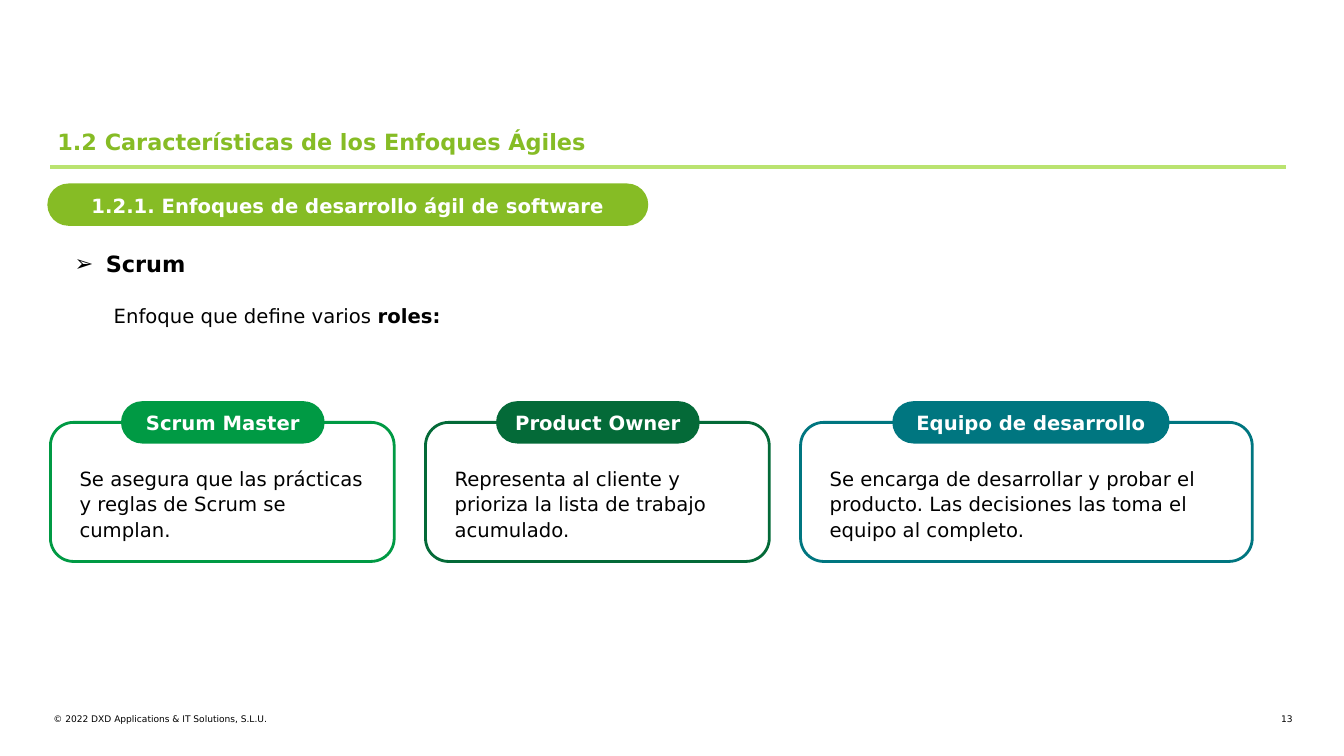
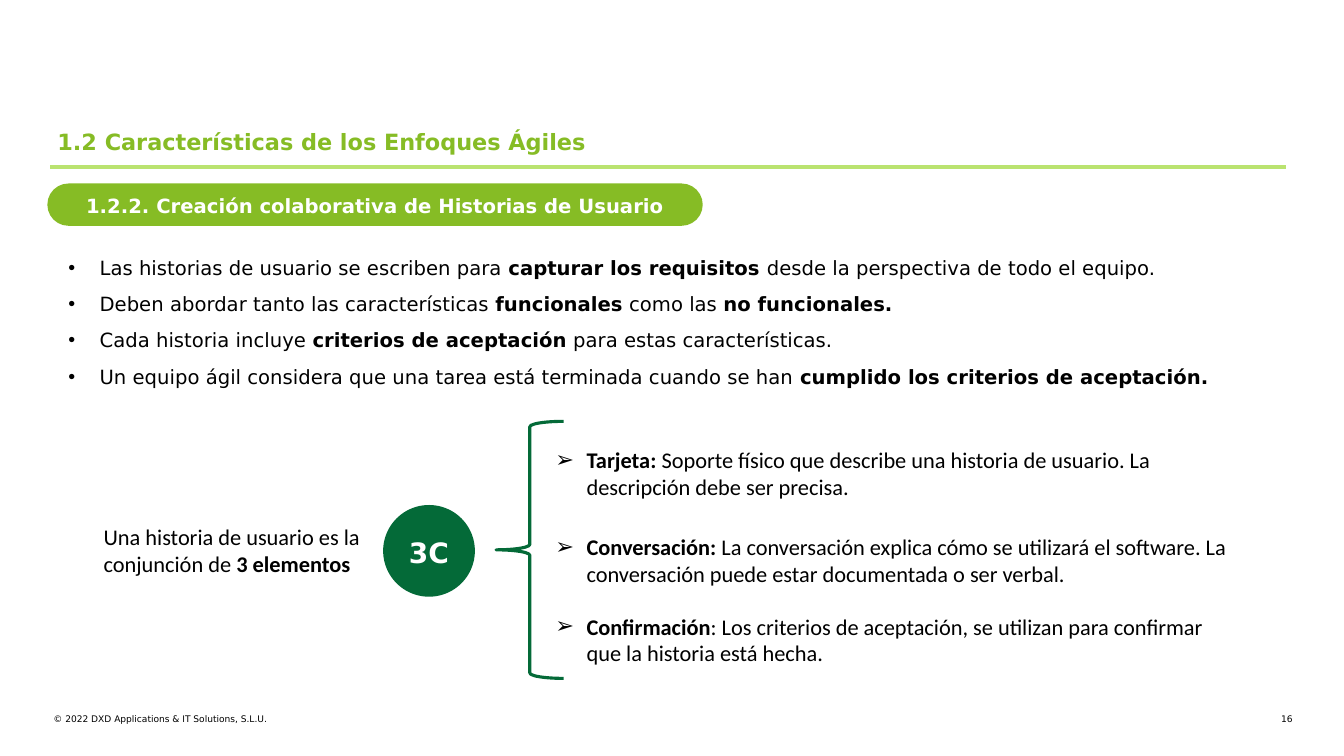
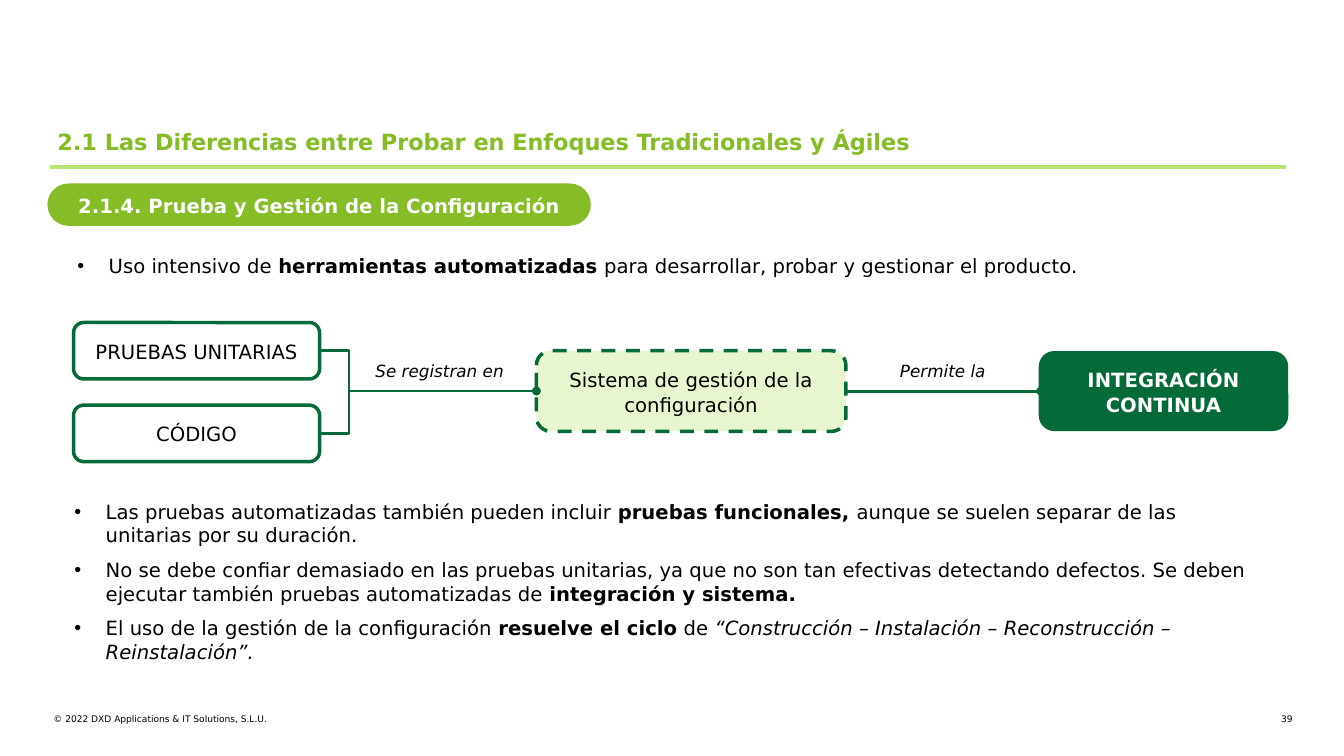
from dataclasses import dataclass

from lxml import etree
from pptx import Presentation
from pptx import util as u
from pptx.dml.color import RGBColor
from pptx.enum import dml, shapes, text
from pptx.oxml import ns

PX = 9144  # 100 px to the inch
KIND = shapes.MSO_SHAPE
LINK = shapes.MSO_CONNECTOR
ALIGN = text.PP_ALIGN


@dataclass(frozen=True)
class Theme:
    lime: str = "86BC25"
    rule: str = "BAE370"
    pale: str = "E8F6CF"
    green: str = "009A44"
    dark: str = "046A38"
    teal: str = "007680"
    black: str = "000000"
    white: str = "FFFFFF"
    main: str = "DejaVu Sans"
    alt: str = "Calibri"
    tiny: float = 6.5
    note: int = 12
    body: int = 14
    head: int = 16
    big: int = 20


T = Theme()


def draw(page, kind, at, fill=None, line=None, width=2):
    """Add a preset shape, or a text box when kind is None; at is in px."""
    at = [n * PX for n in at]
    if kind is None:
        return page.shapes.add_textbox(*at)
    item = page.shapes.add_shape(kind, *at)
    item.shadow.inherit = False
    if fill:
        item.fill.solid()
        item.fill.fore_color.rgb = RGBColor.from_string(fill)
    else:
        item.fill.background()
    if line:
        item.line.color.rgb = RGBColor.from_string(line)
        item.line.width = u.Pt(width)
    else:
        item.line.fill.background()
    return item


def write(item, lines, size=T.body, color=T.black, font=T.main, bold=None, italic=None,
          align=ALIGN.LEFT, mark=None, indent=31, space=None, after=0, inset=None):
    """Fill a shape with paragraphs; *stars* make bold and _bars_ italic."""
    frame = item.text_frame
    frame.word_wrap = True
    if inset is not None:
        frame.margin_left = frame.margin_right = inset * PX
        frame.margin_top = frame.margin_bottom = inset * PX
    for n, line in enumerate(lines):
        para = frame.add_paragraph() if n else frame.paragraphs[0]
        if mark:
            props = para._p.get_or_add_pPr()
            props.set("marL", str(indent * PX))
            props.set("indent", str(-31 * PX))
            etree.SubElement(props, ns.qn("a:buFont"), typeface="Arial")
            etree.SubElement(props, ns.qn("a:buChar"), char=mark)
        para.alignment = align
        para.space_after = u.Pt(after)
        if space:
            para.line_spacing = space
        para.font.size = u.Pt(size)
        para.font.name = font
        para.font.bold = bold
        para.font.italic = italic
        para.font.color.rgb = RGBColor.from_string(color)
        for i, part in enumerate(line.split("*")):
            for j, bit in enumerate(part.split("_")):
                if bit:
                    run = para.add_run()
                    run.text = bit
                    if i % 2:
                        run.font.bold = True
                    if j % 2:
                        run.font.italic = True


deck = Presentation()
deck.slide_width = 1333 * PX
deck.slide_height = 750 * PX
label = dict(color=T.white, bold=True, align=ALIGN.CENTER, space=1.06, inset=10)

# Title, rule, section pill and footer of every slide
agile = "1.2 Características de los Enfoques Ágiles"
plan = [
    (agile, 576, "1.2.1. Enfoques de desarrollo ágil de software", 596, "13"),
    (agile, 576, "1.2.2. Creación colaborativa de Historias de Usuario", 650, "16"),
    ("2.1 Las Diferencias entre Probar en Enfoques Tradicionales y Ágiles", 903,
     "2.1.4. Prueba y Gestión de la Configuración", 539, "39"),
]
pages = []
for name, wide, topic, span, number in plan:
    page = deck.slides.add_slide(deck.slide_layouts[5])
    pages.append(page)
    title = page.shapes.title
    title.left, title.top, title.width, title.height = [n * PX for n in (47, 122, wide - 30, 37)]
    write(title, [name], T.head, T.lime, bold=True)
    title.text_frame.word_wrap = False
    title.text_frame.auto_size = text.MSO_AUTO_SIZE.NONE
    title.text_frame.vertical_anchor = text.MSO_ANCHOR.TOP

    rule = page.shapes.add_connector(LINK.STRAIGHT, 50 * PX, 166 * PX, 1275 * PX, 166 * PX)
    rule.line.color.rgb = RGBColor.from_string(T.rule)
    rule.line.width = u.Pt(3)
    etree.SubElement(rule._element.spPr, ns.qn("a:effectLst"))

    pill = draw(page, KIND.ROUNDED_RECTANGLE, (47, 182, span, 42), T.lime)
    pill.adjustments[0] = 0.5
    write(pill, [topic], **label)
    write(draw(page, None, (53, 708, 586, 11)),
          ["© 2022 DXD Applications & IT Solutions, S.L.U."], T.tiny, inset=0)
    write(draw(page, None, (1248, 708, 34, 11)), [number], T.tiny, align=ALIGN.RIGHT, inset=0)

roles, story, config = pages

# Scrum roles
write(draw(roles, None, (44, 248, 443, 27)), ["Scrum"], T.head, bold=True,
      mark="➢", indent=61, inset=0)
write(draw(roles, None, (103, 295, 596, 33)), ["Enfoque que define varios *roles:*"], space=1.07)

cards = [
    ("Scrum Master", T.green, 341, 70, 202,
     "Se asegura que las prácticas y reglas de Scrum se cumplan."),
    ("Product Owner", T.dark, 341, 70, 202,
     "Representa al cliente y prioriza la lista de trabajo acumulado."),
    ("Equipo de desarrollo", T.teal, 448, 91, 275,
     "Se encarga de desarrollar y probar el producto. "
     "Las decisiones las toma el equipo al completo."),
]
left = 50
for name, color, wide, shift, span, duty in cards:
    draw(roles, KIND.ROUNDED_RECTANGLE, (left, 419, wide, 138), T.white, color)
    tab = draw(roles, KIND.ROUNDED_RECTANGLE, (left + shift, 398, span, 42), color)
    tab.adjustments[0] = 0.5
    write(tab, [name], **label)
    write(draw(roles, None, (left + 19, 457, wide - 32, 84)), [duty], space=1.07)
    left += wide + 31

# User stories
write(draw(story, None, (58, 247, 1203, 142)), [
    "Las historias de usuario se escriben para *capturar los requisitos *"
    "desde la perspectiva de todo el equipo.",
    "Deben abordar tanto las características *funcionales* como las *no funcionales.*",
    "Cada historia incluye *criterios de aceptación* para estas características.",
    "Un equipo ágil considera que una tarea está terminada cuando se han "
    "*cumplido los criterios de aceptación.*",
], mark="•", space=1.07, after=8)
write(draw(story, None, (93, 514, 283, 64)),
      ["Una historia de usuario es la conjunción de *3 elementos*"], T.head, font=T.alt)
write(draw(story, KIND.OVAL, (380, 501, 91, 91), T.dark), ["3C"], T.big, **label)
brace = draw(story, KIND.LEFT_BRACE, (492, 418, 67, 255), line=T.dark, width=2.25)
brace.adjustments[0] = 0.08
brace.adjustments[1] = 0.5

parts = [
    (438, 682, "*Tarjeta: *Soporte físico que describe una historia de usuario. "
               "La descripción debe ser precisa."),
    (524, 689, "*Conversación: *La conversación explica cómo se utilizará el software. "
               "La conversación puede estar documentada o ser verbal."),
    (603, 667, "*Confirmación*: Los criterios de aceptación, se utilizan para confirmar "
               "que la historia está hecha."),
]
for top, wide, line in parts:
    write(draw(story, None, (541, top, wide, 64)), [line], T.head, font=T.alt, mark="➢")

# Configuration management
write(draw(config, None, (67, 247, 1198, 34)),
      ["Uso intensivo de *herramientas automatizadas* para desarrollar, "
       "probar y gestionar el producto."], mark="•")

nodes = [
    ("PRUEBAS UNITARIAS", (73, 320, 244, 56), T.white, T.black),
    ("CÓDIGO", (73, 402, 244, 56), T.white, T.black),
    ("Sistema de gestión de la configuración", (532, 348, 307, 80), T.pale, T.black),
    ("INTEGRACIÓN CONTINUA", (1032, 350, 244, 76), T.dark, T.white),
]
boxes = []
for name, at, fill, color in nodes:
    box = draw(config, KIND.ROUNDED_RECTANGLE, at, fill, T.dark, 2.5)
    box.adjustments[0] = 0.18
    write(box, [name], **{**label, "color": color, "bold": color == T.white})
    boxes.append(box)
unit, code, hub, goal = boxes
hub.line.dash_style = dml.MSO_LINE.DASH

for kind, start, end in [(LINK.ELBOW, unit, hub), (LINK.ELBOW, code, hub),
                         (LINK.STRAIGHT, hub, goal)]:
    link = config.shapes.add_connector(kind, 0, 0, 0, 0)
    link.begin_connect(start, 3)
    link.end_connect(end, 1)
    link.line.color.rgb = RGBColor.from_string(T.dark)
    link.line.width = u.Pt(2)
    etree.SubElement(link.line._get_or_add_ln(), ns.qn("a:tailEnd"), type="oval")
    props = link._element.spPr
    etree.SubElement(props, ns.qn("a:effectLst"))
    if kind == LINK.ELBOW:
        guides = props.find(ns.qn("a:prstGeom")).get_or_add_avLst()
        etree.SubElement(guides, ns.qn("a:gd"), name="adj1", fmla="val 13600")

for left, line in [(355, "Se registran en"), (854, "Permite la")]:
    write(draw(config, None, (left, 353, 162, 30)), [line], T.note,
          italic=True, align=ALIGN.CENTER)

write(draw(config, None, (64, 491, 1198, 174)), [
    "Las pruebas automatizadas también pueden incluir *pruebas funcionales, *"
    "aunque se suelen separar de las unitarias por su duración.",
    "No se debe confiar demasiado en las pruebas unitarias, ya que no son tan efectivas "
    "detectando defectos. Se deben ejecutar también pruebas automatizadas de "
    "*integración y sistema.*",
    "El uso de la gestión de la configuración *resuelve el ciclo* de "
    "_“Construcción – Instalación – Reconstrucción – Reinstalación”._",
], mark="•", after=8)

deck.save("out.pptx")
